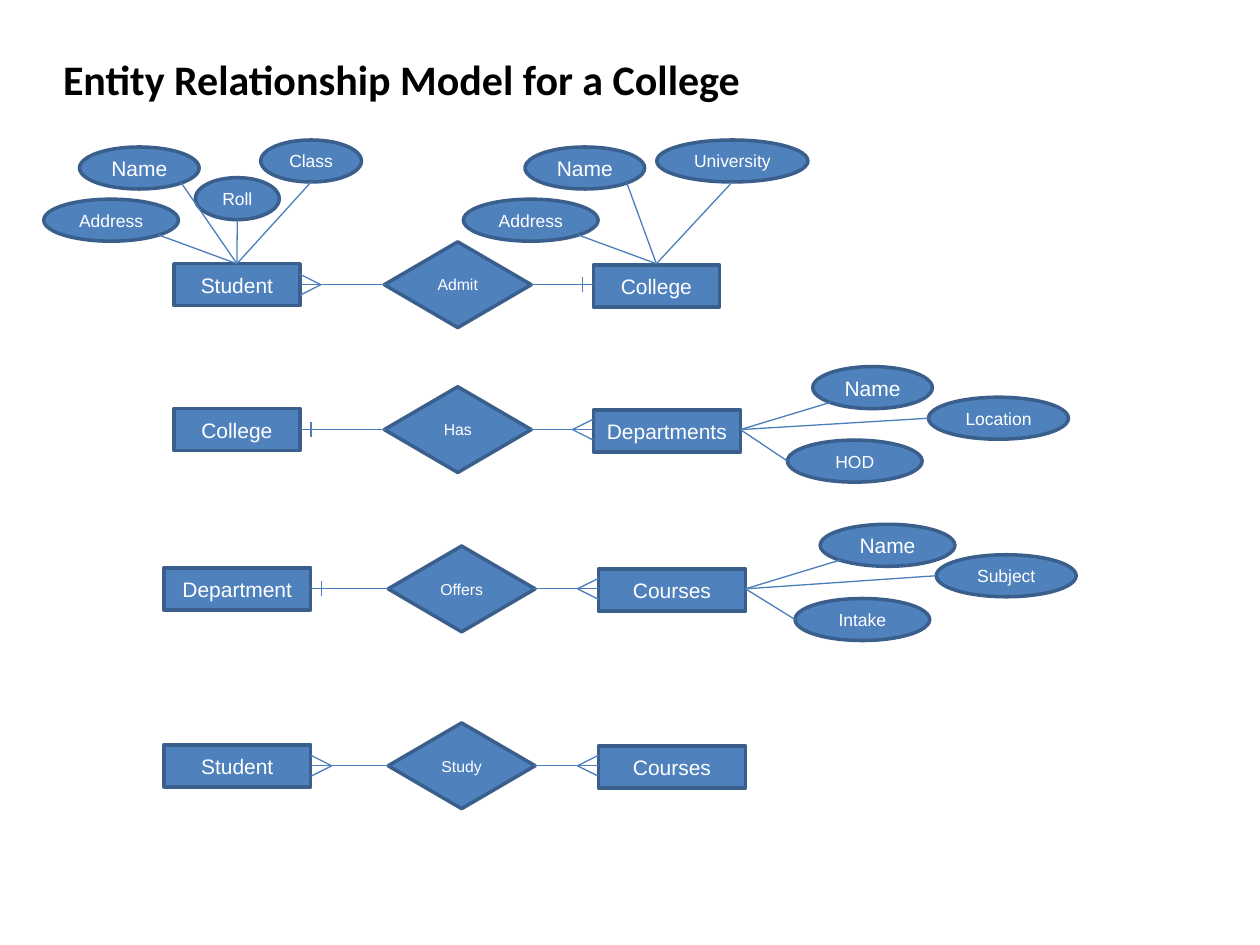
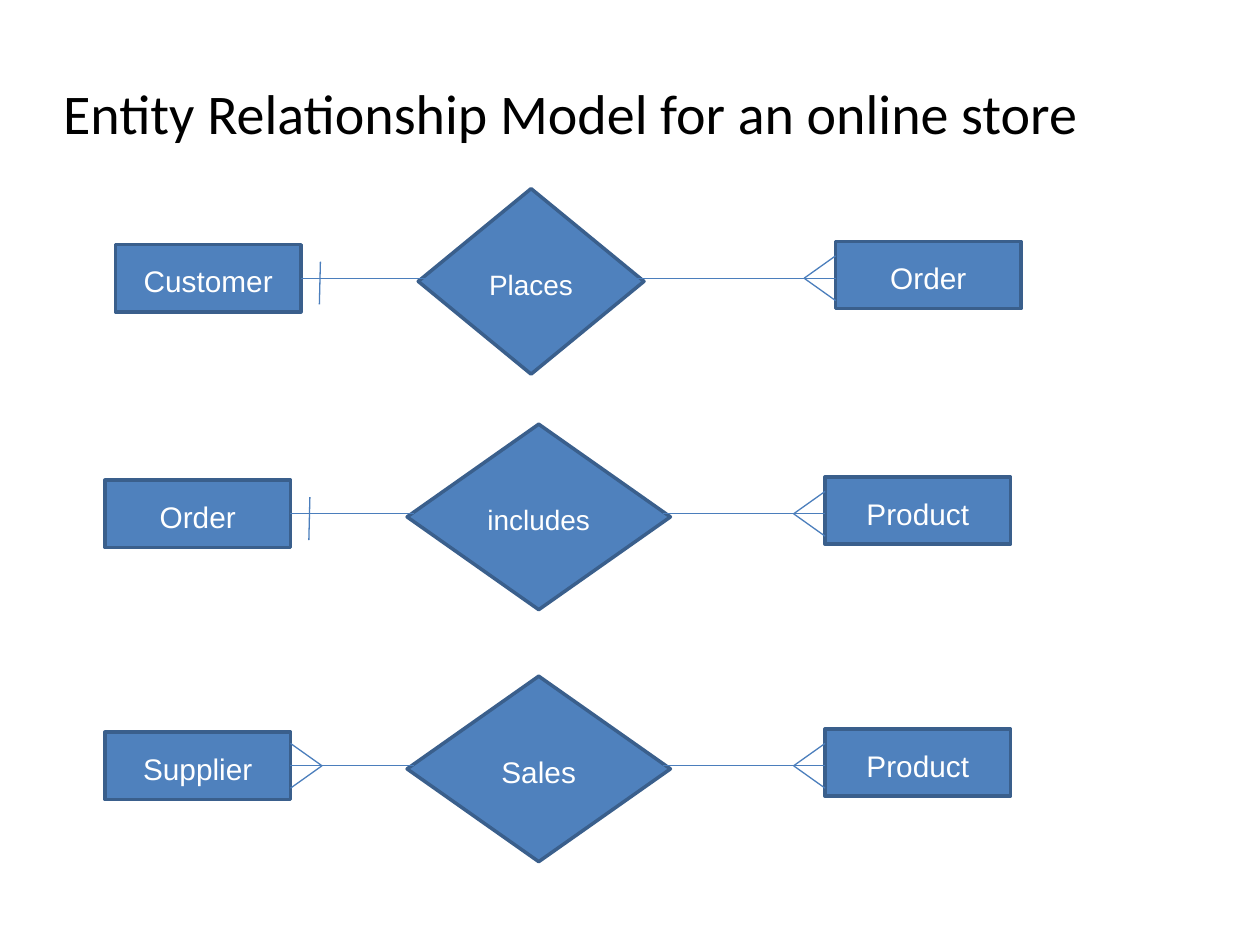
from lxml import etree
from pptx import Presentation
from pptx.dml.color import RGBColor
from pptx.enum.shapes import MSO_CONNECTOR, MSO_SHAPE
from pptx.enum.text import MSO_ANCHOR, MSO_AUTO_SIZE, PP_ALIGN
from pptx.oxml.ns import qn
from pptx.util import Pt

RECTANGLE, DIAMOND, OVAL = MSO_SHAPE.RECTANGLE, MSO_SHAPE.DIAMOND, MSO_SHAPE.OVAL
STRAIGHT = MSO_CONNECTOR.STRAIGHT
MIDDLE, NO_AUTOFIT = MSO_ANCHOR.MIDDLE, MSO_AUTO_SIZE.NONE
LEFT, CENTER = PP_ALIGN.LEFT, PP_ALIGN.CENTER

FILL = RGBColor(0x4F, 0x81, 0xBD)
OUTLINE = RGBColor(0x3A, 0x5F, 0x8C)
LINK = RGBColor(0x4B, 0x7E, 0xBC)
WHITE = RGBColor(0xFF, 0xFF, 0xFF)
BLACK = RGBColor(0, 0, 0)
BODY_FONT, TITLE_FONT = "Arial", "Calibri"

ATTRIBUTE_HEIGHT = 24
# Where a link leaves an attribute, as fractions of its width and height
SITES = {"bottom": (0.5, 1), "bottom right": (0.85, 0.85),
         "bottom left": (0.15, 0.85), "left": (0, 0.5)}

# Relationship: axis y, left entity (text, x, width, end), verb (text, x, width,
# size), right entity (text, x, width, end), side where attributes join, attributes.
# Attribute: text, x, y, width, size, site.
COLLEGE = [
    (162.7, ("Student", 99.4, 72, "many"), ("Admit", 219.6, 84, 9),
     ("College", 339.1, 72, "one"), "top", {
        "left": [("Name", 45.4, 84, 68.4, 12, "bottom right"),
                 ("Address", 25, 113.8, 77, 10, "bottom right"),
                 ("Roll", 111.6, 101.5, 48, 10, "bottom"),
                 ("Class", 149, 80, 57.6, 10, "bottom")],
        "right": [("Name", 300, 84, 68.4, 12, "bottom right"),
                  ("Address", 264.8, 113.8, 77, 10, "bottom right"),
                  ("University", 375.3, 80, 86.4, 10, "bottom")]}),
    (245.5, ("College", 99.4, 72, "one"), ("Has", 219.6, 84, 9),
     ("Departments", 339.1, 84, "many"), "side", {
        "right": [("Name", 464.4, 209.5, 68.4, 12, "bottom left"),
                  ("HOD", 450, 251.5, 77, 10, "left"),
                  ("Location", 530.6, 227, 80, 10, "left")]}),
    (336.5, ("Department", 93.6, 84, "one"), ("Offers", 221.8, 84, 9),
     ("Courses", 342, 84, "many"), "side", {
        "right": [("Name", 468.7, 299.6, 77, 12, "bottom left"),
                  ("Intake", 454.3, 342, 77, 10, "left"),
                  ("Subject", 535, 317, 80, 10, "left")]}),
    (437.6, ("Student", 93.6, 84, "many"), ("Study", 221.8, 84, 9),
     ("Courses", 342, 84, "many"), "side", {}),
]
STORE = [
    (159, ("Customer", 66, 106, "one"), ("Places", 239, 129, 16),
     ("Order", 477.5, 106, "many"), "side", {}),
    (293.6, ("Order", 60, 106, "one"), ("includes", 232.6, 150.5, 16),
     ("Product", 471.5, 106, "many"), "side", {}),
    (437.6, ("Supplier", 60, 106, "many"), ("Sales", 232.6, 150.5, 17),
     ("Product", 471.5, 106, "many"), "side", {}),
]
# drops: how far left entity, verb and right entity sit below the axis
# foot: depth and half spread; tick: distance, rise above and fall below the axis
SLIDES = [
    dict(title="Entity Relationship Model for a College", title_height=50.4,
         title_width=624, title_size=24, bold=True, relationships=COLLEGE,
         entity_height=24, verb_height=49, entity_size=12, drops=(0, 0, 0.7),
         overlap=1, foot=(12, 6), tick=(6.3, 4.3, 4.3), slant=0, spacing=None),
    dict(title="Entity Relationship Model for an online store", title_height=90,
         title_width=648, title_size=32, bold=False, relationships=STORE,
         entity_height=38.4, verb_height=106, entity_size=17, drops=(0, 1.8, -1.8),
         overlap=4, foot=(18, 12.8), tick=(10.5, 9.5, 15), slant=0.6,
         spacing=(1.15, 10)),
]


def add_title(slide, look):
    title = slide.shapes.title
    title.left, title.top = Pt(36), Pt(21.6)
    title.width, title.height = Pt(look["title_width"]), Pt(look["title_height"])
    frame = title.text_frame
    frame.text = look["title"]
    frame.auto_size = NO_AUTOFIT
    frame.vertical_anchor = MIDDLE
    frame.margin_left = frame.margin_right = frame.margin_top = frame.margin_bottom = 0
    paragraph = frame.paragraphs[0]
    paragraph.alignment, paragraph.line_spacing = LEFT, 0.9
    font = paragraph.runs[0].font
    font.name, font.size, font.bold = TITLE_FONT, Pt(look["title_size"]), look["bold"]
    font.color.rgb = BLACK


def add_node(slide, kind, text, x, y, width, height, size, spacing=None):
    node = slide.shapes.add_shape(kind, Pt(x), Pt(y), Pt(width), Pt(height))
    node.shadow.inherit = False
    node.fill.solid()
    node.fill.fore_color.rgb = FILL
    node.line.color.rgb, node.line.width = OUTLINE, Pt(2)
    frame = node.text_frame
    frame.text = text
    frame.vertical_anchor = MIDDLE
    frame.margin_left = frame.margin_right = 0
    paragraph = frame.paragraphs[0]
    paragraph.alignment = CENTER
    if spacing:
        paragraph.line_spacing, paragraph.space_after = spacing[0], Pt(spacing[1])
    font = paragraph.runs[0].font
    font.name, font.size, font.color.rgb = BODY_FONT, Pt(size), WHITE


def add_link(slide, x1, y1, x2, y2):
    link = slide.shapes.add_connector(STRAIGHT, Pt(x1), Pt(y1), Pt(x2), Pt(y2))
    link.line.color.rgb, link.line.width = LINK, Pt(0.75)
    etree.SubElement(link._element.spPr, qn("a:effectLst"))


def add_end(slide, end, edge, axis, outward, look):
    """Mark an entity's edge with a crow's foot or a tick; outward is 1 or -1."""
    if end == "many":
        depth, spread = look["foot"]
        for offset in (-spread, spread):
            add_link(slide, edge, axis + offset, edge + outward * depth, axis)
    else:
        distance, rise, fall = look["tick"]
        x = edge + outward * distance
        add_link(slide, x + look["slant"], axis - rise, x, axis + fall)


def add_attributes(slide, attributes, join):
    for text, x, y, width, size, _ in attributes:
        add_node(slide, OVAL, text, x, y, width, ATTRIBUTE_HEIGHT, size)
    for _, x, y, width, _, site in attributes:
        across, down = SITES[site]
        add_link(slide, x + across * width, y + down * ATTRIBUTE_HEIGHT, *join)


def add_relationship(slide, relationship, look):
    axis, left, verb, right, join_side, attributes = relationship
    height, verb_height = look["entity_height"], look["verb_height"]
    left_drop, verb_drop, right_drop = look["drops"]
    for (text, x, width, _), drop in ((left, left_drop), (right, right_drop)):
        add_node(slide, RECTANGLE, text, x, axis + drop - height / 2, width, height,
                 look["entity_size"], look["spacing"])
    verb_text, verb_x, verb_width, verb_size = verb
    add_node(slide, DIAMOND, verb_text, verb_x, axis + verb_drop - verb_height / 2,
             verb_width, verb_height, verb_size, look["spacing"])

    left_edge, right_edge = left[1] + left[2], right[1]
    add_link(slide, left_edge, axis, verb_x + look["overlap"], axis)
    add_link(slide, verb_x + verb_width - look["overlap"], axis, right_edge, axis)
    add_end(slide, left[3], left_edge, axis, 1, look)
    add_end(slide, right[3], right_edge, axis, -1, look)

    for side, entity in (("left", left), ("right", right)):
        _, x, width, _ = entity
        if join_side == "top":
            join = (x + width / 2, axis - height / 2)
        else:
            join = (x + width, axis)
        add_attributes(slide, attributes.get(side, []), join)


def main():
    deck = Presentation()
    deck.slide_width, deck.slide_height = Pt(720), Pt(540)
    title_only = deck.slide_layouts[5]
    for look in SLIDES:
        slide = deck.slides.add_slide(title_only)
        add_title(slide, look)
        for relationship in look["relationships"]:
            add_relationship(slide, relationship, look)
    deck.save("out.pptx")


if __name__ == "__main__":
    main()
